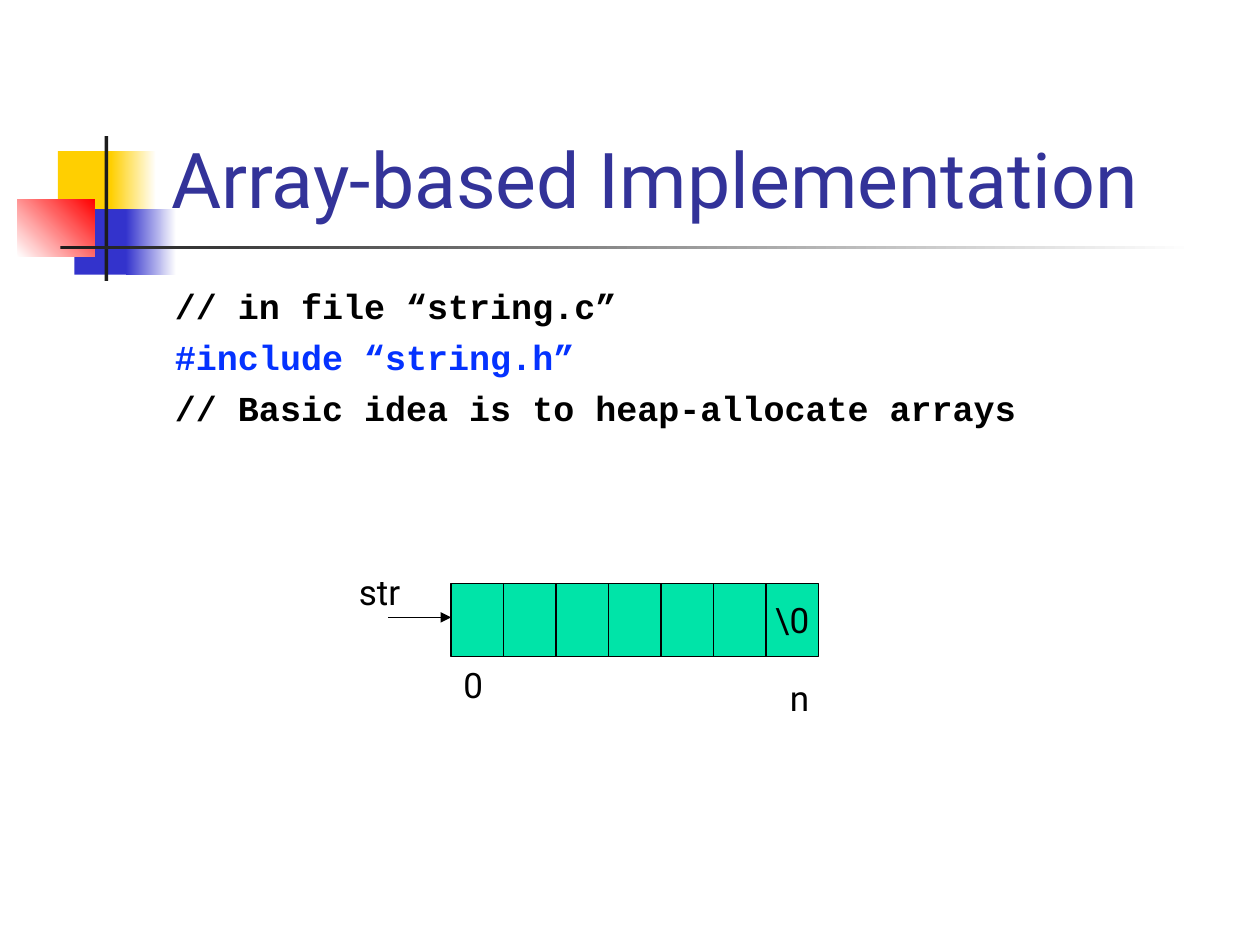
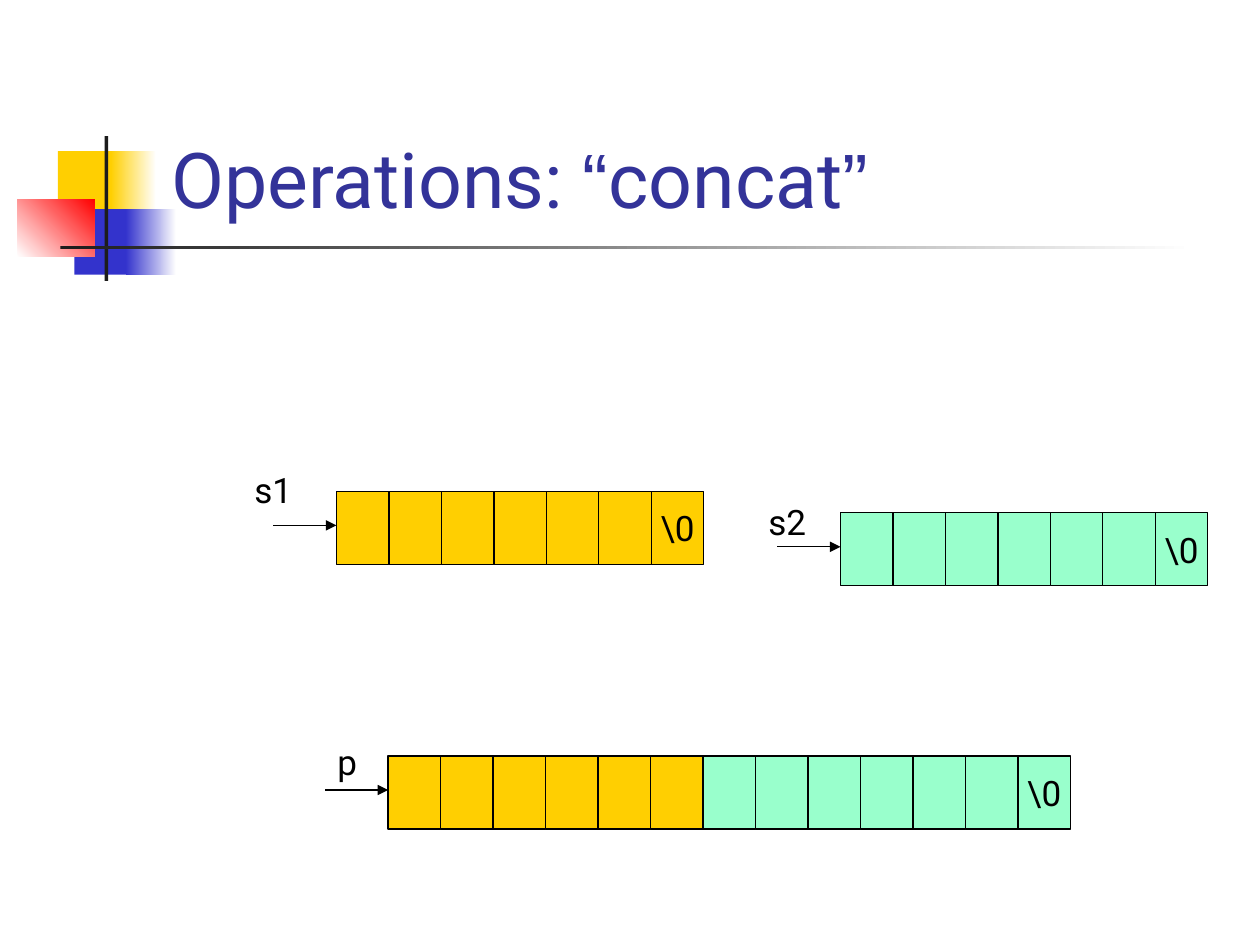
from lxml import etree
from pptx import Presentation
from pptx.dml.color import RGBColor
from pptx.enum.shapes import MSO_CONNECTOR as Connector, MSO_SHAPE as Shape
from pptx.enum.text import MSO_ANCHOR as Anchor, PP_ALIGN as Align
from pptx.oxml.ns import qn
from pptx.util import Inches, Pt

BLACK, WHITE, CHARCOAL = "000000", "FFFFFF", "1C1C1C"
YELLOW, BLUE, RED, TITLE_BLUE = "FFCF01", "3333CC", "FF0000", "333399"
INCLUDE_BLUE, GREEN, MINT = "0432FF", "00E4A8", "99FFCC"
SANS, QUOTE, CODE = "Roboto", "Arial", "Courier New"
CELL_WIDTH, CELL_HEIGHT = 5 / 12, 0.58
ARROW_LENGTH, ARROW_DROP = 0.5, 0.27
LABEL_HEIGHT = 0.43

BAND = [
    ((0.46, 1.2, 0.48, 0.52), (YELLOW,), 0),
    ((0.88, 1.2, 0.36, 0.52), (YELLOW, WHITE), 0),
    ((0.59, 1.66, 0.46, 0.52), (BLUE,), 0),
    ((1, 1.66, 0.4, 0.52), (BLUE, WHITE), 0),
    ((0.14, 1.58, 0.61, 0.46), (WHITE, RED), 45),
    ((0.83, 1.08, 0.03, 1.15), (CHARCOAL,), 0),
    ((0.48, 1.95, 9, 0.03), (CHARCOAL, WHITE), 0),
]


def rgb(code):
    """Turn a hex string into a colour."""
    return RGBColor.from_string(code)


def write(frame, paragraphs, size=20, color=BLACK, bold=False, align=Align.LEFT,
          anchor=Anchor.TOP, wrap=True, gap=0):
    """Fill a text frame with paragraphs, each a list of (text, font, colour or None)."""
    frame.word_wrap = wrap
    frame.vertical_anchor = anchor
    for index, pieces in enumerate(paragraphs):
        paragraph = frame.add_paragraph() if index else frame.paragraphs[0]
        paragraph.alignment = align
        if index:
            paragraph.space_before = Pt(gap)
        for text, font, own_color in pieces:
            run = paragraph.add_run()
            run.text = text
            run.font.name = font
            run.font.size = Pt(size)
            run.font.bold = bold
            run.font.color.rgb = rgb(own_color or color)


def add_text(slide, at, paragraphs, **text_format):
    """Add a text box."""
    box = slide.shapes.add_textbox(*map(Inches, at))
    write(box.text_frame, paragraphs, **text_format)


def add_label(slide, text, left, top, width):
    """Add a one-line label."""
    add_text(slide, (left, top, width, LABEL_HEIGHT), [[(text, SANS, None)]])


def add_block(slide, at, colors, angle=0, outline=None):
    """Add a rectangle with a plain fill or a two-colour gradient."""
    block = slide.shapes.add_shape(Shape.RECTANGLE, *map(Inches, at))
    block.shadow.inherit = False
    if len(colors) == 1:
        block.fill.solid()
        block.fill.fore_color.rgb = rgb(colors[0])
    else:
        block.fill.gradient()
        block.fill.gradient_angle = angle
        for stop, color in zip(block.fill.gradient_stops, colors):
            stop.color.rgb = rgb(color)
    if outline:
        block.line.color.rgb = rgb(outline)
        block.line.width = Pt(0.75)
    else:
        block.line.fill.background()
    return block


def add_arrow(slide, left, top):
    """Add a horizontal pointer arrow."""
    arrow = slide.shapes.add_connector(
        Connector.STRAIGHT, *map(Inches, (left, top, left + ARROW_LENGTH, top)))
    arrow.line.color.rgb = rgb(BLACK)
    arrow.line.width = Pt(0.75)
    etree.SubElement(arrow.line._get_or_add_ln(), qn("a:tailEnd"), type="triangle")
    etree.SubElement(arrow._element.spPr, qn("a:effectLst"))


def add_array(slide, left, top, colors):
    """Draw a null-terminated array, one cell per colour, with its pointer."""
    for index, color in enumerate(colors):
        at = (left + index * CELL_WIDTH, top, CELL_WIDTH, CELL_HEIGHT)
        cell = add_block(slide, at, (color,), outline=BLACK)
    write(cell.text_frame, [[("\\0", SANS, None)]], align=Align.CENTER,
          anchor=Anchor.MIDDLE, wrap=False)
    add_arrow(slide, left - ARROW_LENGTH, top + ARROW_DROP)


def add_slide(deck, title):
    """Add a slide with the shared band and a title."""
    slide = deck.slides.add_slide(deck.slide_layouts[6])
    for at, colors, angle in BAND:
        add_block(slide, at, colors, angle)
    pieces = [(text, font, None) for text, font in title]
    add_text(slide, (1.26, 0.23, 8.52, 1.6), [pieces], size=44, color=TITLE_BLUE,
             anchor=Anchor.BOTTOM)
    return slide


def add_implementation(deck):
    """Build the slide on the array-based implementation."""
    slide = add_slide(deck, [("Array-based Implementation", SANS)])
    add_text(slide, (1.29, 2.21, 8.5, 4.5), [
        [("// in file “string.c”", CODE, None)],
        [("#include “string.h”", CODE, INCLUDE_BLUE)],
        [("// Basic idea is to heap-allocate arrays", CODE, None)],
    ], bold=True, gap=5)
    add_array(slide, 3.58, 4.63, [GREEN] * 7)
    add_label(slide, "0", 3.58, 5.22, 0.33)
    add_label(slide, "n", 6.17, 5.32, 0.42)
    add_label(slide, "str", 2.75, 4.48, 0.75)


def add_concat(deck):
    """Build the slide on the concat operation."""
    slide = add_slide(deck, [("Operations: ", SANS), ("“", QUOTE),
                             ("concat", SANS), ("”", QUOTE)])
    add_array(slide, 2.67, 3.9, [YELLOW] * 7)
    add_label(slide, "s1", 1.92, 3.67, 0.75)
    add_array(slide, 6.67, 4.07, [MINT] * 7)
    add_label(slide, "s2", 6, 3.92, 0.75)
    add_array(slide, 3.08, 6, [YELLOW] * 6 + [MINT] * 7)
    add_label(slide, "p", 2.58, 5.83, 0.33)


def main():
    """Build and save the deck."""
    deck = Presentation()
    deck.slide_width, deck.slide_height = Inches(10), Inches(7.5)
    add_implementation(deck)
    add_concat(deck)
    deck.save("out.pptx")


if __name__ == "__main__":
    main()
